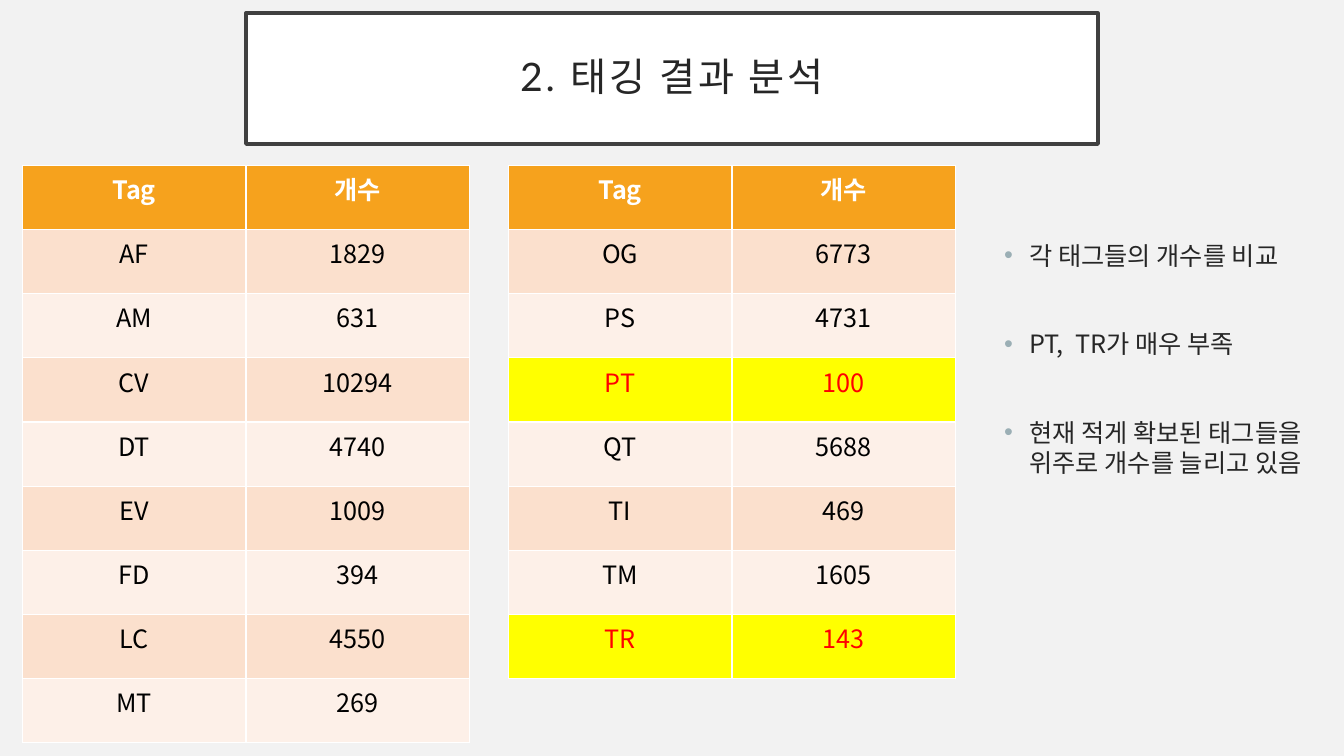
from lxml import etree
from pptx import Presentation
from pptx.dml.color import RGBColor
from pptx.enum.text import MSO_ANCHOR, MSO_AUTO_SIZE, PP_ALIGN
from pptx.oxml.ns import qn
from pptx.util import Inches, Pt

CENTER, LEFT = PP_ALIGN.CENTER, PP_ALIGN.LEFT
MIDDLE, NO_FIT = MSO_ANCHOR.MIDDLE, MSO_AUTO_SIZE.NONE

TITLE = "2. 태깅 결과 분석"
HEADER = ("Tag", "개수")
TAG_COUNTS = [
    [("AF", 1829), ("AM", 631), ("CV", 10294), ("DT", 4740),
     ("EV", 1009), ("FD", 394), ("LC", 4550), ("MT", 269)],
    [("OG", 6773), ("PS", 4731), ("PT", 100), ("QT", 5688),
     ("TI", 469), ("TM", 1605), ("TR", 143)],
]
SCARCE_TAGS = {"PT", "TR"}
FINDINGS = [
    "각 태그들의 개수를 비교",
    "PT,  TR가 매우 부족",
    "현재 적게 확보된 태그들을 위주로 개수를 늘리고 있음",
]

TITLE_FONT, BODY_FONT = "Lato", "Noto Sans CJK KR"
WHITE = RGBColor(0xFF, 0xFF, 0xFF)
BLACK = RGBColor(0x00, 0x00, 0x00)
BACKGROUND = RGBColor(0xF2, 0xF2, 0xF2)
FRAME = RGBColor(0x40, 0x40, 0x40)
INK = RGBColor(0x26, 0x26, 0x26)
BULLET = RGBColor(0x9B, 0xAF, 0xB5)
ORANGE = RGBColor(0xF6, 0xA2, 0x1D)
BANDS = (RGBColor(0xFB, 0xE0, 0xCD), RGBColor(0xFD, 0xF0, 0xE8))
YELLOW = RGBColor(0xFF, 0xFF, 0x00)
RED = RGBColor(0xFF, 0x00, 0x00)

SLIDE_W, SLIDE_H = 13.33, 7.5
TABLE_LEFT, TABLE_TOP, TABLE_GAP = 0.22, 1.64, 0.38
COL_W, ROW_H = 2.22, 5.73 / 9
LINE_PT, GAP_PT = 21.6, 41.6


def place(sp, left, top, width, height):
    sp.left, sp.top = Inches(left), Inches(top)
    sp.width, sp.height = Inches(width), Inches(height)


def write(p, text, size=18, color=INK, font=BODY_FONT, bold=False,
          align=CENTER, tracking=0):
    p.alignment = align
    r = p.add_run()
    r.text = str(text)
    r.font.size, r.font.bold, r.font.name = Pt(size), bold, font
    r.font.color.rgb = color
    rPr = r.font._element
    etree.SubElement(rPr, qn("a:ea")).set("typeface", BODY_FONT)
    if tracking:
        rPr.set("spc", str(tracking * 100))


def add_bullet(p, indent=0.25):
    pPr = p._p.get_or_add_pPr()
    pPr.set("marL", str(Inches(indent)))
    pPr.set("indent", str(-Inches(indent)))
    color = etree.SubElement(pPr, qn("a:buClr"))
    etree.SubElement(color, qn("a:srgbClr")).set("val", str(BULLET))
    etree.SubElement(pPr, qn("a:buFont")).set("typeface", "Arial")
    etree.SubElement(pPr, qn("a:buChar")).set("char", "•")


def row_style(row, tag):
    """Return the fill, text colour and weight of a table row."""
    if row == 0:
        return ORANGE, WHITE, True
    if tag in SCARCE_TAGS:
        return YELLOW, RED, False
    return BANDS[(row - 1) % 2], BLACK, False


def add_tag_table(slide, left, counts):
    rows = [HEADER, *counts]
    table = slide.shapes.add_table(
        len(rows), len(HEADER), Inches(left), Inches(TABLE_TOP),
        Inches(COL_W * len(HEADER)), Inches(ROW_H * len(rows))).table
    table.horz_banding = False
    for i, values in enumerate(rows):
        fill, color, bold = row_style(i, values[0])
        for j, value in enumerate(values):
            cell = table.cell(i, j)
            cell.fill.solid()
            cell.fill.fore_color.rgb = fill
            write(cell.text_frame.paragraphs[0], value, color=color, bold=bold)


def add_title(slide):
    sp = slide.shapes.title
    place(sp, 2.44, 0.13, 8.45, 1.3)
    sp.fill.solid()
    sp.fill.fore_color.rgb = WHITE
    sp.line.color.rgb, sp.line.width = FRAME, Pt(2.5)
    tf = sp.text_frame
    tf.auto_size, tf.vertical_anchor = NO_FIT, MIDDLE
    tf.margin_left = tf.margin_right = Inches(0.2)
    tf.margin_top = tf.margin_bottom = Inches(0.2)
    p = tf.paragraphs[0]
    p.line_spacing = 0.9
    write(p, TITLE, size=28, font=TITLE_FONT, tracking=2)


def add_findings(slide):
    sp = slide.placeholders[1]
    place(sp, 9.86, 2.33, 3.35, 3.75)
    tf = sp.text_frame
    tf.auto_size = NO_FIT
    for i, finding in enumerate(FINDINGS):
        p = tf.add_paragraph() if i else tf.paragraphs[0]
        p.line_spacing = Pt(LINE_PT)
        p.space_before = Pt(GAP_PT if i else 0)
        write(p, finding, align=LEFT)
        add_bullet(p)


def main():
    prs = Presentation()
    prs.slide_width, prs.slide_height = Inches(SLIDE_W), Inches(SLIDE_H)
    slide = prs.slides.add_slide(prs.slide_layouts[1])
    slide.background.fill.solid()
    slide.background.fill.fore_color.rgb = BACKGROUND
    add_title(slide)
    add_findings(slide)
    for i, counts in enumerate(TAG_COUNTS):
        left = TABLE_LEFT + i * (COL_W * len(HEADER) + TABLE_GAP)
        add_tag_table(slide, left, counts)
    prs.save("out.pptx")


if __name__ == "__main__":
    main()
